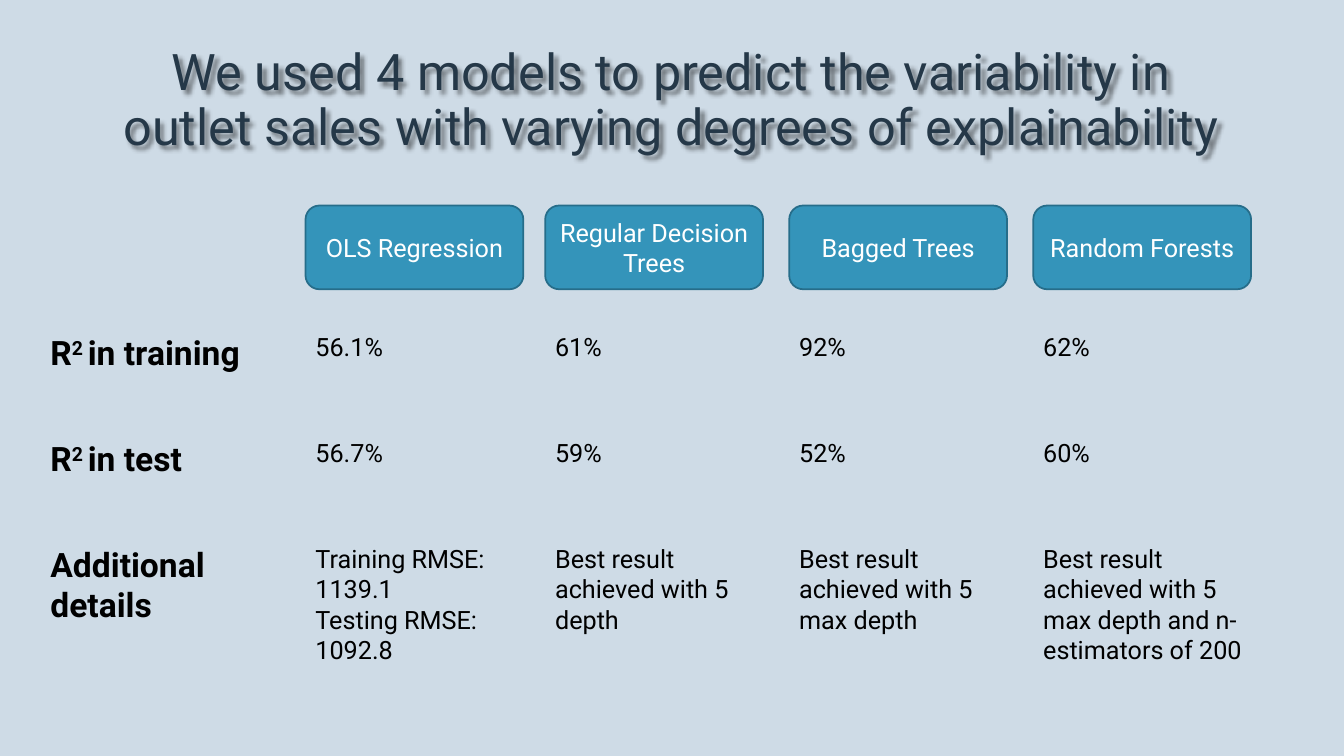
from dataclasses import dataclass

from lxml import etree
from pptx import Presentation
from pptx.dml.color import RGBColor
from pptx.enum.shapes import MSO_SHAPE
from pptx.enum.text import MSO_ANCHOR, MSO_AUTO_SIZE, PP_ALIGN
from pptx.oxml import parse_xml
from pptx.oxml.ns import nsdecls
from pptx.util import Cm, Pt

ROUNDED = MSO_SHAPE.ROUNDED_RECTANGLE
LEFT, CENTER = PP_ALIGN.LEFT, PP_ALIGN.CENTER
TOP, MIDDLE = MSO_ANCHOR.TOP, MSO_ANCHOR.MIDDLE
GROW, FIXED = MSO_AUTO_SIZE.SHAPE_TO_FIT_TEXT, MSO_AUTO_SIZE.NONE


@dataclass(frozen=True)
class Theme:
    font: str = "Roboto"
    background: str = "CEDBE6"
    title: str = "253848"
    text: str = "000000"
    header_text: str = "FFFFFF"
    header_fill: str = "3494BA"
    header_line: str = "266D8A"
    title_size: int = 36
    label_size: int = 24
    body_size: int = 18


theme = Theme()


def rgb(value):
    return RGBColor.from_string(value)


def write(sp, paragraphs, size=theme.body_size, color=theme.text, bold=False,
          align=LEFT, anchor=TOP, auto_size=GROW, spacing=None):
    """Fill a shape with paragraphs of runs; the second run of each is superscript."""
    tf = sp.text_frame
    tf.word_wrap = True
    tf.auto_size = auto_size
    tf.vertical_anchor = anchor
    for i, runs in enumerate(paragraphs):
        p = tf.add_paragraph() if i else tf.paragraphs[0]
        p.alignment = align
        if spacing:
            p.line_spacing = spacing
        for j, text in enumerate(runs):
            r = p.add_run()
            r.text = text
            r.font.name = theme.font
            r.font.size = Pt(size)
            r.font.bold = bold
            r.font.color.rgb = rgb(color)
            if j == 1:
                r.font._element.set("baseline", "30000")


prs = Presentation()
prs.slide_width, prs.slide_height = Cm(33.87), Cm(19.05)
slide = prs.slides.add_slide(prs.slide_layouts[5])
slide.background.fill.solid()
slide.background.fill.fore_color.rgb = rgb(theme.background)

# Title with a soft shadow and a faint outline
title = slide.shapes.title
title.left, title.top, title.width, title.height = Cm(2.54), Cm(0.81), Cm(28.75), Cm(3.5)
write(title, [["We used 4 models to predict the variability in "
               "outlet sales with varying degrees of explainability"]],
      size=theme.title_size, color=theme.title, align=CENTER, anchor=MIDDLE,
      auto_size=FIXED, spacing=0.9)
title._element.spPr.append(parse_xml(
    f'<a:effectLst {nsdecls("a")}>'
    '<a:outerShdw blurRad="38100" dist="38100" dir="2700000" algn="tl" rotWithShape="0">'
    '<a:srgbClr val="000000"><a:alpha val="45000"/></a:srgbClr>'
    '</a:outerShdw></a:effectLst>'))
outline = etree.fromstring(
    f'<a:ln {nsdecls("a")} w="9525"><a:solidFill><a:srgbClr val="404040">'
    '<a:alpha val="10000"/></a:srgbClr></a:solidFill></a:ln>')
title.text_frame.paragraphs[0].runs[0].font._element.insert(0, outline)

# Row labels and model columns
row_tops = [Cm(8.23 + 2.67 * i) for i in range(3)]
text_width, text_height = Cm(5.61), Cm(1.02)
labels = [["R", "2 ", "in training"], ["R", "2 ", "in test"], ["Additional details"]]
label_heights = [Cm(1.27), Cm(1.27), Cm(2.31)]
models = [
    (7.7, "OLS Regression", "56.1%", "56.7%",
     ["Training RMSE: 1139.1", "Testing RMSE: 1092.8"], 3.33),
    (13.74, "Regular Decision Trees", "61%", "59%",
     ["Best result achieved with 5 depth"], 2.57),
    (19.89, "Bagged Trees", "92%", "52%",
     ["Best result achieved with 5 max depth"], 2.57),
    (26.04, "Random Forests", "62%", "60%",
     ["Best result achieved with 5 max depth and n-estimators of 200"], 3.33),
]

for label, top, height in zip(labels, row_tops, label_heights):
    sp = slide.shapes.add_textbox(Cm(1.02), top, text_width, height)
    write(sp, [label], size=theme.label_size, bold=True)

for left, name, training, test, details, details_height in models:
    sp = slide.shapes.add_shape(ROUNDED, Cm(left), Cm(5.18), Cm(5.49), Cm(2.11))
    sp.shadow.inherit = False
    sp.fill.solid()
    sp.fill.fore_color.rgb = rgb(theme.header_fill)
    sp.line.color.rgb = rgb(theme.header_line)
    sp.line.width = Pt(1.25)
    write(sp, [[name]], color=theme.header_text, align=CENTER, anchor=MIDDLE,
          auto_size=FIXED)

    heights = [text_height, text_height, Cm(details_height)]
    for lines, top, height in zip([[training], [test], details], row_tops, heights):
        sp = slide.shapes.add_textbox(Cm(left), top, text_width, height)
        write(sp, [[line] for line in lines])

prs.save("out.pptx")
